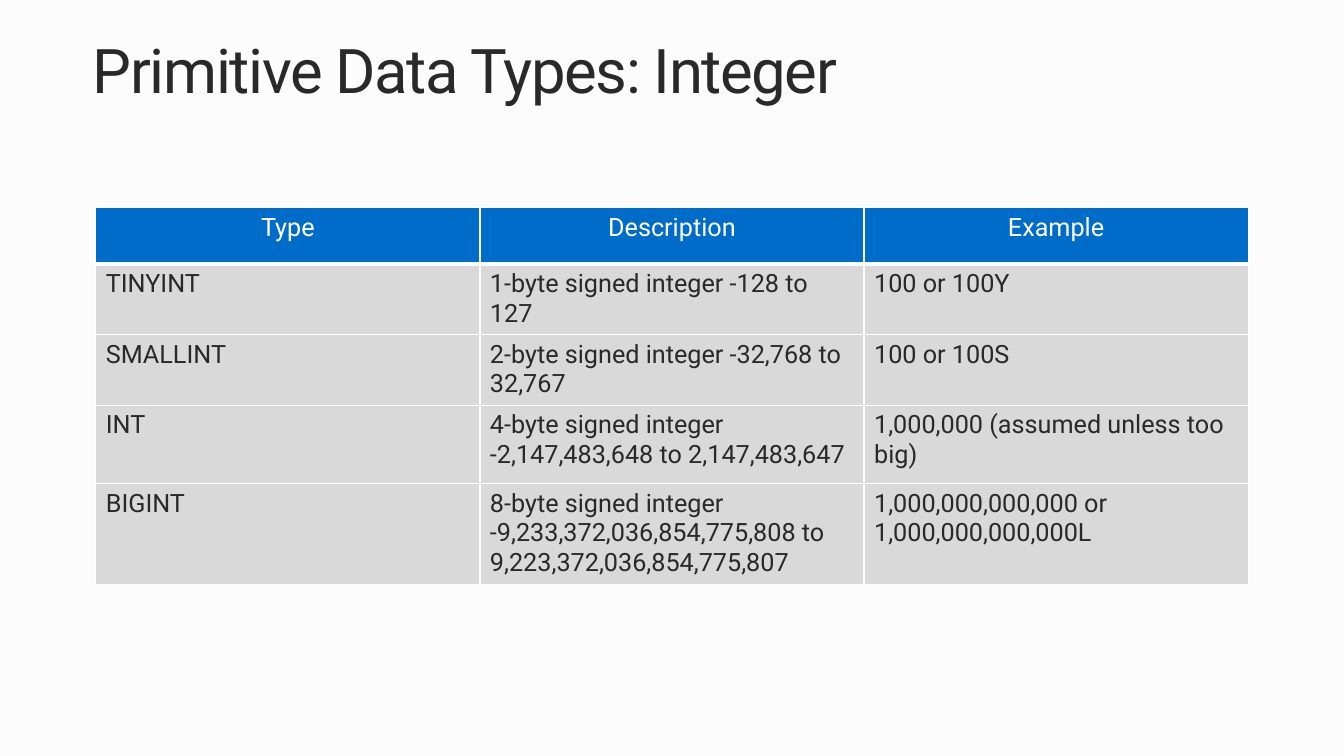
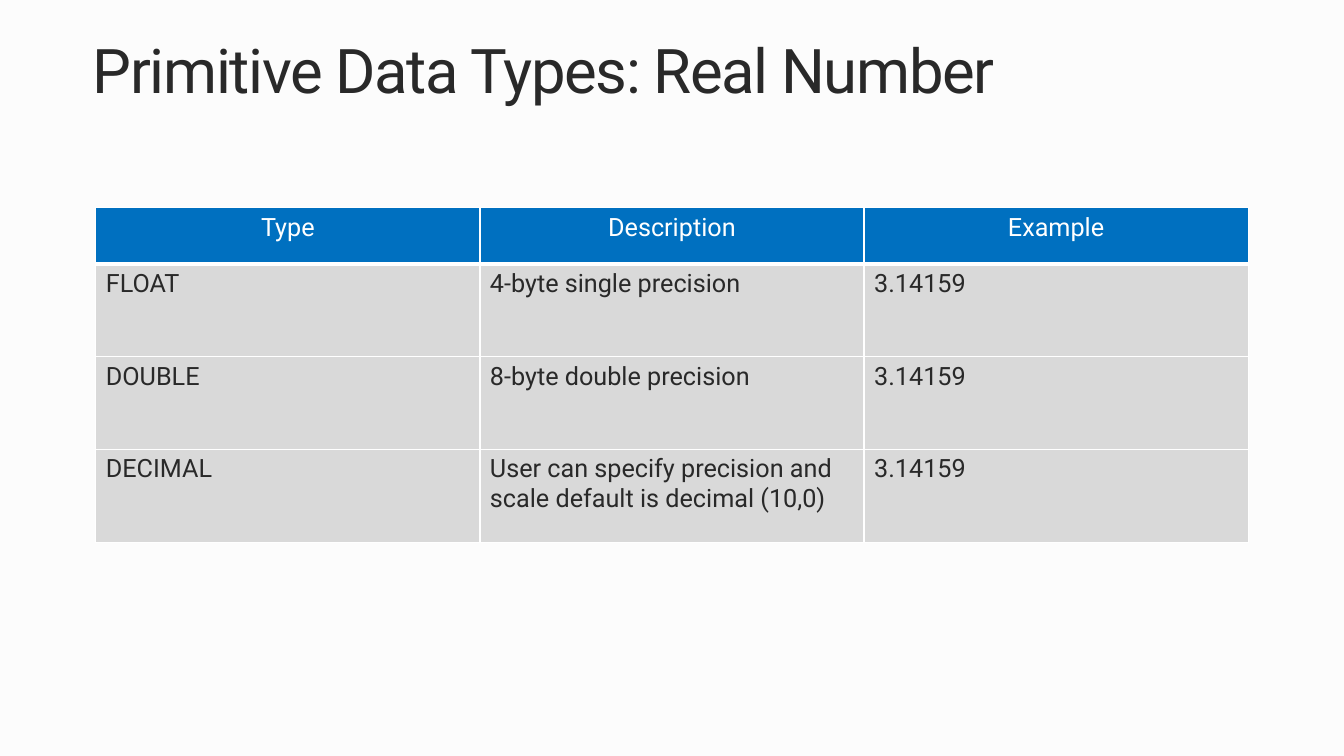
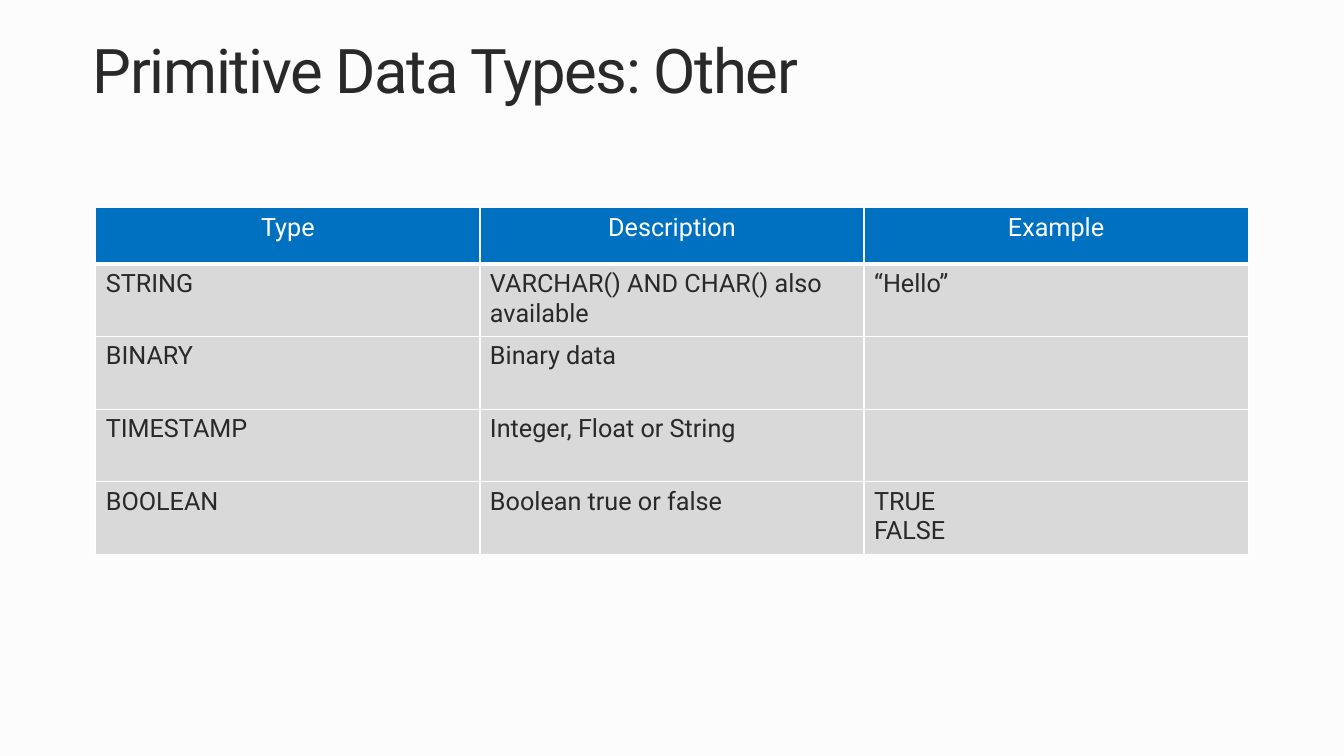
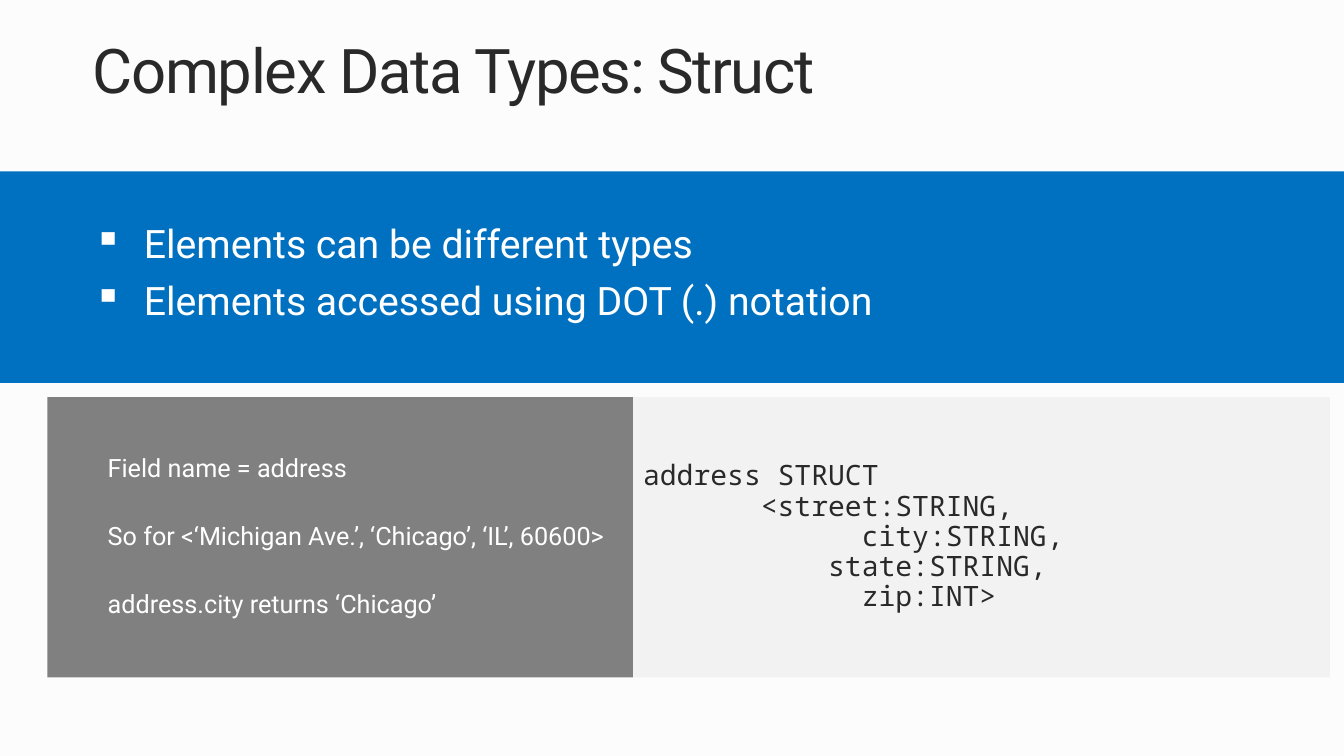
"""Build four slides about primitive and complex data types."""
from dataclasses import dataclass

from lxml import etree
from pptx import Presentation
from pptx.dml.color import RGBColor
from pptx.enum.shapes import MSO_SHAPE
from pptx.enum.text import MSO_ANCHOR, MSO_AUTO_SIZE, PP_ALIGN
from pptx.oxml.ns import qn
from pptx.util import Inches, Pt

RECTANGLE = MSO_SHAPE.RECTANGLE
MIDDLE = MSO_ANCHOR.MIDDLE
GROW = MSO_AUTO_SIZE.SHAPE_TO_FIT_TEXT
LEFT, CENTER = PP_ALIGN.LEFT, PP_ALIGN.CENTER
BLANK_LAYOUT = 6


@dataclass(frozen=True)
class Theme:
    """Colours, fonts and type sizes that the slides share."""
    background: str = "FCFCFC"
    ink: str = "292929"
    white: str = "FFFFFF"
    blue: str = "0070C0"
    bright_blue: str = "006CC9"
    cell_gray: str = "D9D9D9"
    note_gray: str = "808080"
    code_gray: str = "F2F2F2"
    body_font: str = "Roboto"
    code_font: str = "Noto Sans Mono"
    title_size: int = 44
    bullet_size: int = 28
    code_size: int = 20
    text_size: int = 18
    thin_border: int = 1
    header_border: int = 3


THEME = Theme()


@dataclass(frozen=True)
class TextStyle:
    """Look of a paragraph; lengths in inches, sizes and gaps in points."""
    size: int = THEME.text_size
    color: str = THEME.ink
    font: str = THEME.body_font
    align: int = LEFT
    line_spacing: float = 0.9
    gap: float = 0
    margin: float = 0
    indent: float = 0
    bullet: str = ""
    tracking: int = 0


TITLE = TextStyle(size=THEME.title_size, tracking=-1)
HEADER = TextStyle(color=THEME.white, align=CENTER, line_spacing=1)
CELL = TextStyle(line_spacing=1)
BULLET = TextStyle(size=THEME.bullet_size, color=THEME.white, gap=10,
                   margin=0.63, indent=-0.5, bullet="▪")
NOTE = TextStyle(color=THEME.white, gap=29, margin=0.5)
CODE = TextStyle(size=THEME.code_size, font=THEME.code_font)

COLUMNS = ("Type", "Description", "Example")
COLUMN_WIDTH = 3.81
HEADER_HEIGHT = 0.56

INTEGER_ROWS = (
    ("TINYINT", "1-byte signed integer -128 to 127", "100 or 100Y"),
    ("SMALLINT", "2-byte signed integer -32,768 to 32,767", "100 or 100S"),
    ("INT", "4-byte signed integer -2,147,483,648 to 2,147,483,647",
     "1,000,000 (assumed unless too big)"),
    ("BIGINT",
     "8-byte signed integer\n"
     "-9,233,372,036,854,775,808 to  9,223,372,036,854,775,807",
     "1,000,000,000,000 or 1,000,000,000,000L"),
)
REAL_ROWS = (
    ("FLOAT", "4-byte single precision", "3.14159"),
    ("DOUBLE", "8-byte double precision", "3.14159"),
    ("DECIMAL",
     "User can specify precision and scale default is decimal (10,0)",
     "3.14159"),
)
OTHER_ROWS = (
    ("STRING", "VARCHAR() AND CHAR() also available", "“Hello”"),
    ("BINARY", "Binary data", ""),
    ("TIMESTAMP", "Integer, Float or String", ""),
    ("BOOLEAN", "Boolean true or false", "TRUE\nFALSE"),
)
STRUCT_POINTS = """Elements can be different types
Elements accessed using DOT (.) notation"""
STRUCT_NOTES = """Field name = address
So for <‘Michigan Ave.’, ‘Chicago’, ‘IL’, 60600>
address.city returns ‘Chicago’"""
STRUCT_CODE = """address STRUCT
       <street:STRING,
             city:STRING,
           state:STRING,
             zip:INT>"""


def rgb(color):
    """Turn a hex string into a colour."""
    return RGBColor.from_string(color)


def write_text(frame, text, style):
    """Write each line of the text as a styled paragraph."""
    for number, line in enumerate(text.split("\n")):
        paragraph = frame.add_paragraph() if number else frame.paragraphs[0]
        properties = paragraph._p.get_or_add_pPr()
        properties.set("marL", str(Inches(style.margin)))
        properties.set("indent", str(Inches(style.indent)))
        if style.bullet:
            bullet = etree.SubElement(properties, qn("a:buChar"))
            bullet.set("char", style.bullet)
        paragraph.alignment = style.align
        paragraph.line_spacing = style.line_spacing
        paragraph.space_before = Pt(style.gap if number else 0)
        if not line:
            paragraph.font.size = Pt(style.size)
            continue
        run = paragraph.add_run()
        run.text = line
        run.font.name = style.font
        run.font.size = Pt(style.size)
        run.font.bold = False
        run.font.color.rgb = rgb(style.color)
        if style.tracking:
            run._r.get_or_add_rPr().set("spc", str(style.tracking * 100))


def add_text(slide, box, text, style):
    """Add a wrapping text box and return its frame."""
    frame = slide.shapes.add_textbox(*map(Inches, box)).text_frame
    frame.word_wrap = True
    write_text(frame, text, style)
    return frame


def add_panel(slide, box, color, text="", style=CELL):
    """Add a filled rectangle with optional text."""
    panel = slide.shapes.add_shape(RECTANGLE, *map(Inches, box))
    panel.shadow.inherit = False
    panel.fill.solid()
    panel.fill.fore_color.rgb = rgb(color)
    panel.line.fill.background()
    if text:
        panel.text_frame.word_wrap = True
        panel.text_frame.vertical_anchor = MIDDLE
        write_text(panel.text_frame, text, style)


def add_titled_slide(presentation, title):
    """Add a slide with the shared title."""
    slide = presentation.slides.add_slide(presentation.slide_layouts[BLANK_LAYOUT])
    frame = add_text(slide, (0.92, 0.4, 12.2, 0.68), title, TITLE)
    frame.margin_left = frame.margin_right = 0
    frame.margin_top = frame.margin_bottom = 0
    frame.auto_size = GROW
    return slide


def set_borders(cell, top, bottom):
    """Give the cell white borders, with its own top and bottom widths."""
    properties = cell._tc.get_or_add_tcPr()
    thin = THEME.thin_border
    for side, width in (("L", thin), ("R", thin), ("T", top), ("B", bottom)):
        line = etree.SubElement(properties, qn(f"a:ln{side}"), w=str(Pt(width)))
        fill = etree.SubElement(line, qn("a:solidFill"))
        etree.SubElement(fill, qn("a:srgbClr"), val=THEME.white)


def add_type_table(slide, rows, heights, header_color):
    """Add a table of data types under a coloured header row."""
    heights = (HEADER_HEIGHT, *heights)
    box = (0.95, 2.06, COLUMN_WIDTH * len(COLUMNS), sum(heights))
    table = slide.shapes.add_table(
        len(heights), len(COLUMNS), *map(Inches, box)).table
    table.horz_banding = False
    for column in table.columns:
        column.width = Inches(COLUMN_WIDTH)
    for row_number, (texts, height) in enumerate(zip((COLUMNS, *rows), heights)):
        table.rows[row_number].height = Inches(height)
        is_header = row_number == 0
        top = THEME.header_border if row_number == 1 else THEME.thin_border
        bottom = THEME.header_border if is_header else THEME.thin_border
        for column_number, text in enumerate(texts):
            cell = table.cell(row_number, column_number)
            set_borders(cell, top, bottom)
            cell.fill.solid()
            cell.fill.fore_color.rgb = rgb(
                header_color if is_header else THEME.cell_gray)
            write_text(cell.text_frame, text, HEADER if is_header else CELL)


def add_struct_slide(presentation):
    """Add the slide on the struct type."""
    slide = add_titled_slide(presentation, "Complex Data Types: Struct")
    add_panel(slide, (0, 1.7, 13.33, 2.1), THEME.blue)
    points = add_text(slide, (0.7, 1.9, 12.4, 1.64), STRUCT_POINTS, BULLET)
    points.vertical_anchor = MIDDLE
    add_panel(slide, (0.47, 3.94, 5.81, 2.78), THEME.note_gray, STRUCT_NOTES, NOTE)
    add_panel(slide, (6.28, 3.94, 6.91, 2.78), THEME.code_gray, STRUCT_CODE, CODE)


def main():
    """Build and save the presentation."""
    presentation = Presentation()
    presentation.slide_width = Inches(13.33)
    presentation.slide_height = Inches(7.5)
    background = presentation.slide_master.background.fill
    background.solid()
    background.fore_color.rgb = rgb(THEME.background)
    for kind, rows, heights, color in (
        ("Integer", INTEGER_ROWS, (0.6, 0.6, 0.78, 0.94), THEME.bright_blue),
        ("Real Number", REAL_ROWS, (0.92,) * 3, THEME.blue),
        ("Other", OTHER_ROWS, (0.72,) * 4, THEME.blue),
    ):
        slide = add_titled_slide(presentation, f"Primitive Data Types: {kind}")
        add_type_table(slide, rows, heights, color)
    add_struct_slide(presentation)
    presentation.save("out.pptx")


if __name__ == "__main__":
    main()
